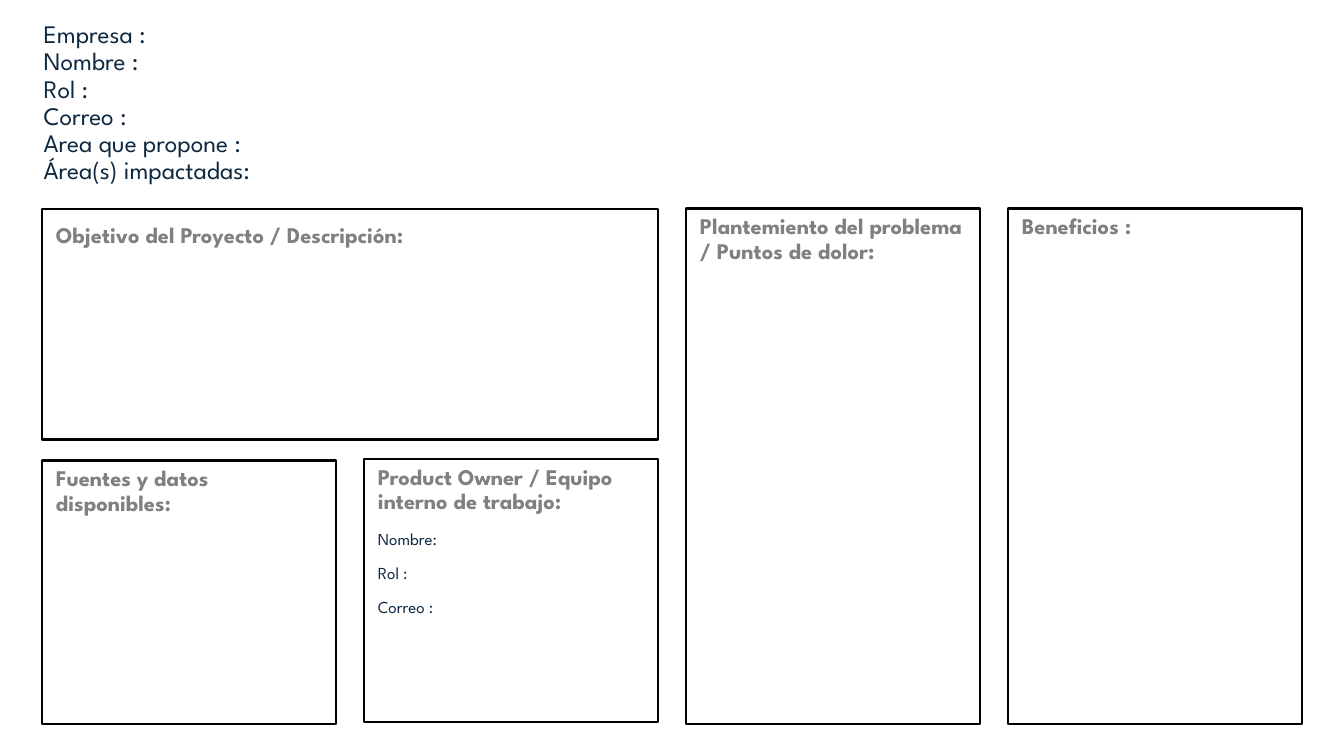
from pptx import Presentation
from pptx.dml.color import RGBColor
from pptx.enum.shapes import MSO_SHAPE
from pptx.enum.text import MSO_ANCHOR, MSO_AUTO_SIZE, PP_ALIGN
from pptx.util import Pt

RECT = MSO_SHAPE.RECTANGLE
TOP, MIDDLE = MSO_ANCHOR.TOP, MSO_ANCHOR.MIDDLE
LEFT = PP_ALIGN.LEFT
FIXED = MSO_AUTO_SIZE.NONE

FACE = "League Spartan"
NAVY, GRAY, BLACK, WHITE = "0E2841", "808080", "000000", "FFFFFF"

FIELDS = ["Empresa :", "Nombre :", "Rol :", "Correo :",
          "Area que propone :", "Área(s) impactadas:"]

# heading, column, columns wide, top, height, heading line spacing, details
BOXES = [
    ("Objetivo del Proyecto / Descripción:", 0, 2, 149, 165, 1.2, []),
    ("Fuentes y datos disponibles:", 0, 1, 329, 188, 0.9, []),
    ("Product Owner / Equipo interno de trabajo:", 1, 1, 328, 188, 0.9,
     ["Nombre:", "Rol :", "Correo :"]),
    ("Plantemiento del problema / Puntos de dolor:", 2, 1, 149, 368, 0.9, []),
    ("Beneficios :", 3, 1, 149, 368, 0.9, []),
]
EDGE, WIDTH, GAP = 30, 210, 20


def color(code):
    return RGBColor.from_string(code)


def style(para, size, code, bold, space):
    para.alignment = LEFT
    para.line_spacing = space
    font = para.font
    font.name, font.size, font.bold = FACE, Pt(size), bold
    font.color.rgb = color(code)


def add_title(slide):
    title = slide.shapes.title
    title.left, title.top = Pt(24), Pt(16)
    title.width, title.height = Pt(741), Pt(116)
    frame = title.text_frame
    frame.word_wrap, frame.auto_size = True, FIXED
    frame.vertical_anchor = MIDDLE
    frame.text = "\v".join(FIELDS)
    style(frame.paragraphs[0], 18, NAVY, False, 0.9)


def add_box(slide, head, col, span, top, height, space, details):
    left = EDGE + col * (WIDTH + GAP)
    width = span * WIDTH + (span - 1) * GAP
    box = slide.shapes.add_shape(RECT, Pt(left), Pt(top), Pt(width), Pt(height))
    box.shadow.inherit = False
    box.fill.solid()
    box.fill.fore_color.rgb = color(WHITE)
    box.line.color.rgb = color(BLACK)
    box.line.width = Pt(1.5)
    frame = box.text_frame
    frame.word_wrap, frame.vertical_anchor = True, TOP
    frame.margin_left = frame.margin_right = Pt(10)
    frame.margin_top = frame.margin_bottom = Pt(5)
    frame.text = "\n".join([head] + details)
    for para in frame.paragraphs:
        style(para, 12, NAVY, False, 1.0)
        para.space_before = Pt(10)
    style(frame.paragraphs[0], 16, GRAY, True, space)


def main():
    deck = Presentation()
    deck.slide_width, deck.slide_height = Pt(960), Pt(540)
    slide = deck.slides.add_slide(deck.slide_layouts[5])
    add_title(slide)
    for box in BOXES:
        add_box(slide, *box)
    deck.save("out.pptx")


if __name__ == "__main__":
    main()
